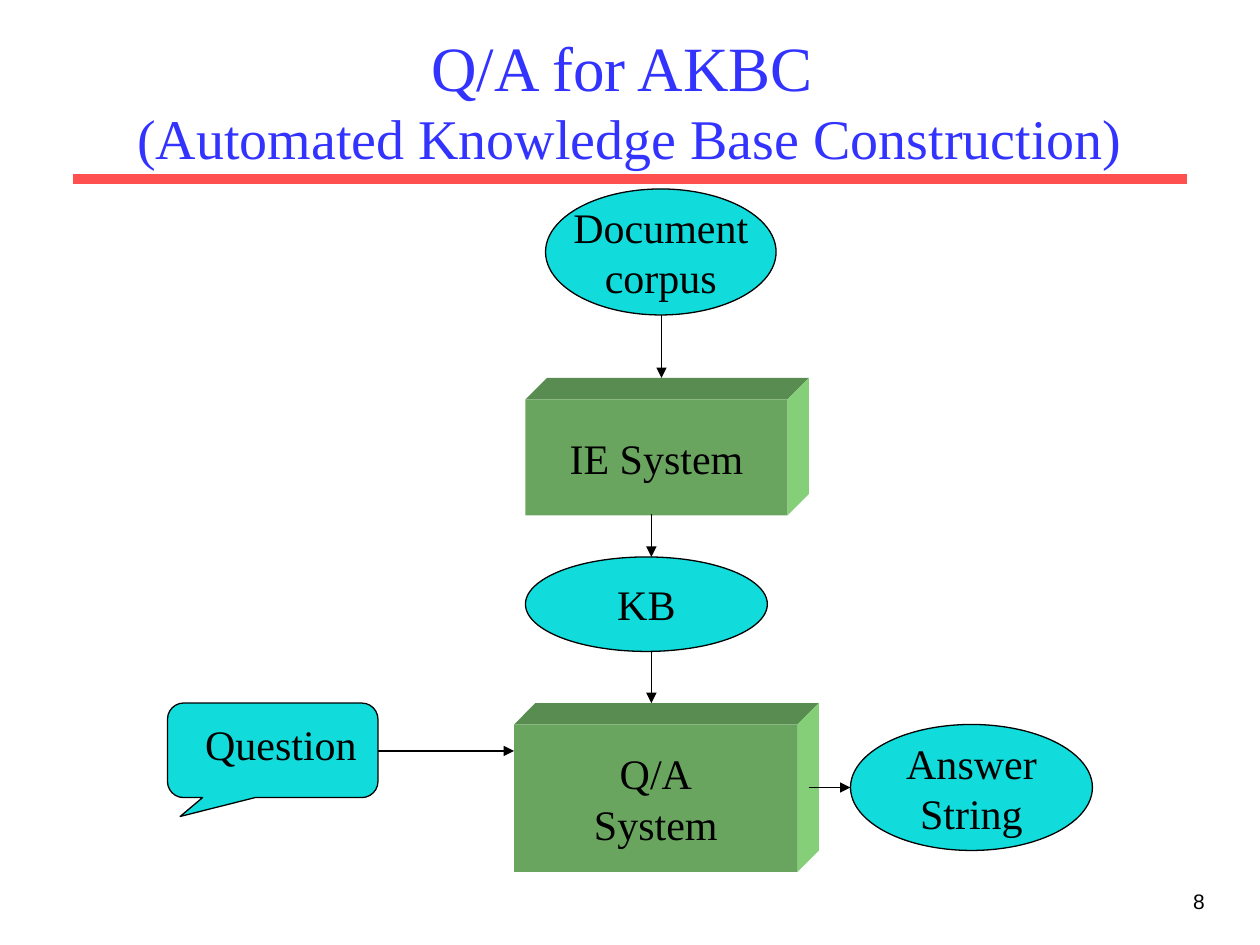
import pptx
import pptx.dml.color
import pptx.enum.shapes
import pptx.enum.text
import pptx.util
from lxml import etree
from pptx.oxml.ns import qn
from pptx.util import Inches, Pt

SHAPE = pptx.enum.shapes.MSO_SHAPE
ALIGN = pptx.enum.text.PP_ALIGN
ANCHOR = pptx.enum.text.MSO_ANCHOR

THEME = {
    "title": "3333FF", "rule": "FF5050", "ink": "000000", "data": "11DBDB",
    "front": "6AA55F", "top": "598C50", "side": "84CF78",
    "serif": "Times New Roman", "sans": "Arial",
    "title_size": 36, "subtitle_size": 32, "label_size": 24, "number_size": 12,
    "rule_width": 6, "line_width": 0.75,
}
DEPTH = 0.17

TITLE = ("Q/A for AKBC ", "(Automated Knowledge Base Construction)")
SLIDE_NUMBER = "8"
# Lines of text, then left, top, width, height
SYSTEMS = [
    (["Q/A", "System"], (4.08, 5.75, 2.25, 1.17)),
    (["IE System"], (4.17, 3.17, 2.08, 0.92)),
]
DATA = [
    (["Document", "corpus"], (4.33, 1.5, 1.83, 1)),
    (["KB"], (4.17, 4.42, 1.92, 0.75)),
    (["Answer", "String"], (6.75, 5.75, 1.92, 1)),
]
QUESTION = ("Question", (1.33, 5.58, 1.67, 0.75), (1.53, 5.65, 1.47, 0.38))
ARROWS = [
    ((5.25, 2.5), (5.25, 3)),
    ((5.17, 4.08), (5.17, 4.42)),
    ((5.17, 5.17), (5.17, 5.58)),
    ((3, 5.96), (4.08, 5.96)),
    ((6.42, 6.25), (6.75, 6.25)),
]


def color(name):
    return pptx.dml.color.RGBColor.from_string(THEME[name])


def paint(shape, fill, line=None):
    shape.shadow.inherit = False
    shape.fill.solid()
    shape.fill.fore_color.rgb = color(fill)
    if line:
        shape.line.color.rgb = color(line)
        shape.line.width = Pt(THEME["line_width"])
    else:
        shape.line.fill.background()


def write(shape, lines, size="label_size", face="serif", ink="ink",
          align=ALIGN.CENTER, anchor=ANCHOR.MIDDLE, wrap=False):
    frame = shape.text_frame
    frame.word_wrap = wrap
    frame.vertical_anchor = anchor
    frame.text = "\n".join(lines)
    for paragraph in frame.paragraphs:
        paragraph.alignment = align
        paragraph.font.size = Pt(THEME[size])
        paragraph.font.name = THEME[face]
        paragraph.font.color.rgb = color(ink)


def add_text(slide, box, lines, **style):
    shape = slide.shapes.add_textbox(*map(Inches, box))
    write(shape, lines, wrap=True, **style)
    return shape


def add_shape(slide, kind, box, fill, line=None):
    shape = slide.shapes.add_shape(kind, *map(Inches, box))
    paint(shape, fill, line)
    return shape


def add_line(slide, start, end, ink, width, arrow=False):
    connector = slide.shapes.add_connector(
        pptx.enum.shapes.MSO_CONNECTOR.STRAIGHT, *map(Inches, start + end))
    connector.line.color.rgb = color(ink)
    connector.line.width = Pt(THEME[width])
    if arrow:
        line = connector.line._get_or_add_ln()
        etree.SubElement(line, qn("a:tailEnd"), type="triangle")
    etree.SubElement(connector._element.spPr, qn("a:effectLst"))


def add_face(slide, points, fill):
    corners = [(Inches(x), Inches(y)) for x, y in points]
    builder = slide.shapes.build_freeform(*corners[0])
    builder.add_line_segments(corners[1:], close=True)
    paint(builder.convert_to_shape(), fill)


def add_block(slide, lines, box):
    """Draw a front face extruded up and to the right."""
    left, top, width, height = box
    right, bottom = left + width, top + height
    back_right, back_top = right + DEPTH, top - DEPTH
    add_face(slide, [(left, top), (left + DEPTH, back_top),
                     (back_right, back_top), (right, top)], "top")
    add_face(slide, [(right, top), (back_right, back_top),
                     (back_right, bottom - DEPTH), (right, bottom)], "side")
    write(add_shape(slide, SHAPE.RECTANGLE, box, "front"), lines)


def main():
    presentation = pptx.Presentation()
    presentation.slide_width, presentation.slide_height = Inches(10), Inches(7.5)
    slide = presentation.slides.add_slide(presentation.slide_layouts[6])

    add_line(slide, (0.58, 1.42), (9.42, 1.42), "rule", "rule_width")
    title = add_text(slide, (0.75, 0.25, 8.5, 1.08), TITLE[:1],
                     size="title_size", ink="title")
    heading = title.text_frame.paragraphs[0]
    heading.add_line_break()
    subtitle = heading.add_run()
    subtitle.text = TITLE[1]
    subtitle.font.size = Pt(THEME["subtitle_size"])
    add_text(slide, (7.58, 7, 2.08, 0.5), [SLIDE_NUMBER], size="number_size",
             face="sans", align=ALIGN.RIGHT, anchor=ANCHOR.TOP)

    for lines, box in SYSTEMS:
        add_block(slide, lines, box)
    for lines, box in DATA:
        write(add_shape(slide, SHAPE.OVAL, box, "data", "ink"), lines)

    question, bubble_box, text_box = QUESTION
    bubble = add_shape(slide, SHAPE.ROUNDED_RECTANGULAR_CALLOUT, bubble_box,
                       "data", "ink")
    for index, value in enumerate((-0.44, 0.7, 0.17)):
        bubble.adjustments[index] = value
    add_text(slide, text_box, [question], align=ALIGN.LEFT, anchor=ANCHOR.TOP)

    for start, end in ARROWS:
        add_line(slide, start, end, "ink", "line_width", arrow=True)

    presentation.save("out.pptx")


if __name__ == "__main__":
    main()
